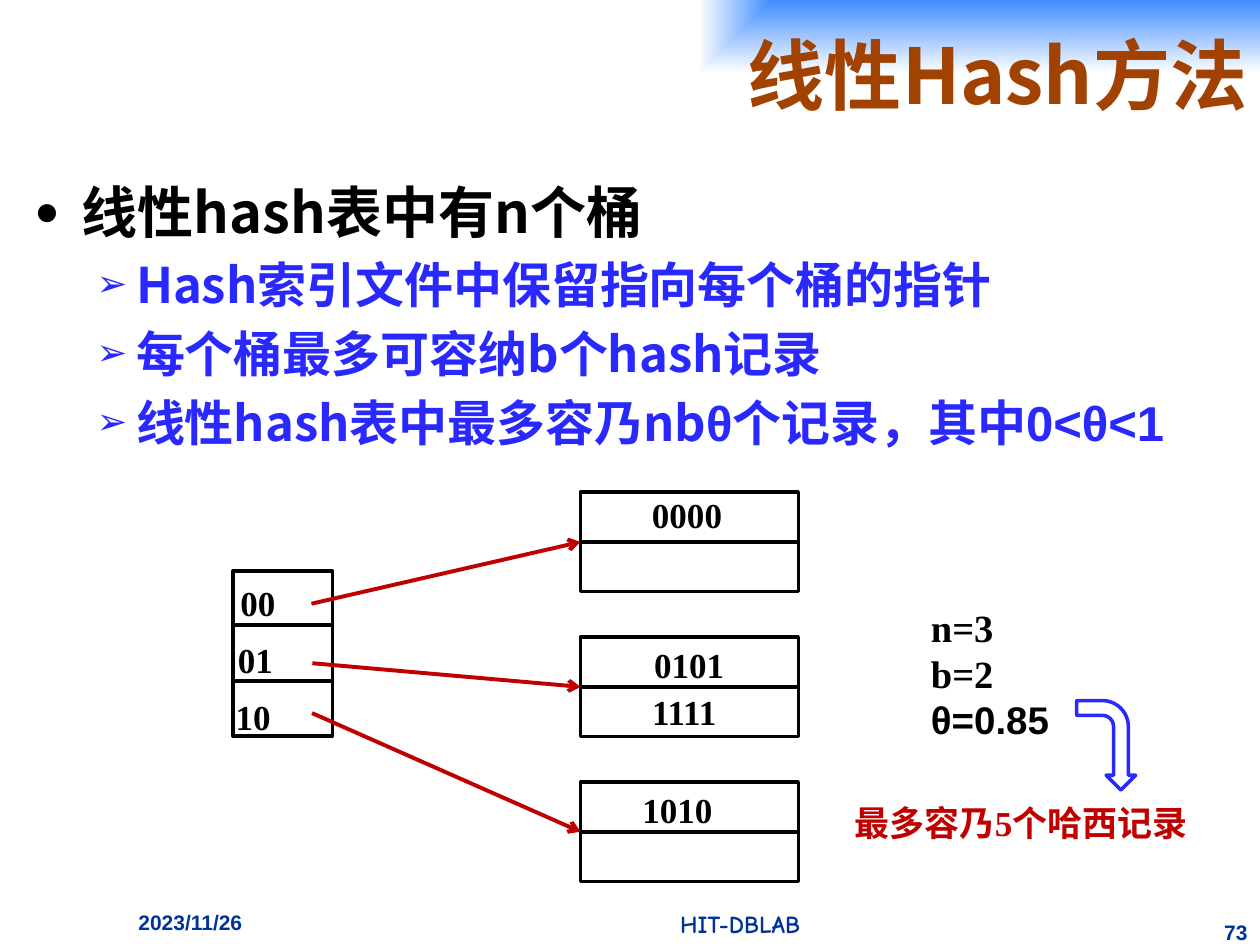
from dataclasses import dataclass

import pptx
import pptx.util
from lxml import etree
from pptx.dml.color import RGBColor
from pptx.enum.shapes import MSO_CONNECTOR, MSO_SHAPE
from pptx.enum.text import MSO_ANCHOR, PP_ALIGN
from pptx.oxml import parse_xml
from pptx.oxml.ns import nsdecls, qn

Pt = pptx.util.Pt

BLACK = RGBColor(0x00, 0x00, 0x00)
WHITE = RGBColor(0xFF, 0xFF, 0xFF)
SKY = RGBColor(0x3F, 0x8D, 0xFF)
BROWN = RGBColor(0xA2, 0x42, 0x00)
BLUE = RGBColor(0x29, 0x29, 0xFF)
NAVY = RGBColor(0x00, 0x33, 0x99)
RED = RGBColor(0xC0, 0x00, 0x00)

SC, JP = "Noto Sans CJK SC", "Noto Sans CJK JP"
TIMES, ARIAL, COMIC = "Times New Roman", "Arial", "Comic Neue"


@dataclass
class Label:
    text: str
    left: float
    top: float
    width: float
    height: float
    size: float = 20
    font: str = TIMES
    color: RGBColor = BLACK
    align: PP_ALIGN = PP_ALIGN.LEFT
    wrap: bool = False


@dataclass
class Bullet:
    runs: list[tuple[str, str]]
    size: float
    color: RGBColor
    level: int
    char: str
    margin: float
    hang: float
    before: float


@dataclass
class Bucket:
    index: Label
    records: list[Label]
    arrow_from: tuple[float, float]


def add_run(p, text: str, size: float, font: str, color: RGBColor) -> None:
    r = p.add_run()
    r.text = text
    r.font.size, r.font.bold, r.font.name = Pt(size), True, font
    r.font.color.rgb = color
    ea = etree.SubElement(r.font._element, qn("a:ea"))
    ea.set("typeface", font if font in (SC, JP) else SC)


def add_label(s, d: Label):
    sp = s.shapes.add_textbox(Pt(d.left), Pt(d.top), Pt(d.width), Pt(d.height))
    tf = sp.text_frame
    tf.word_wrap = d.wrap
    p = tf.paragraphs[0]
    p.alignment = d.align
    add_run(p, d.text, d.size, d.font, d.color)
    return tf


def add_bullet(p, b: Bullet) -> None:
    pPr = p._p.get_or_add_pPr()
    pPr.set("marL", str(Pt(b.margin)))
    pPr.set("indent", str(-Pt(b.hang)))
    for xml in (
        f'<a:buClr {nsdecls("a")}><a:srgbClr val="{b.color}"/></a:buClr>',
        f'<a:buSzPct {nsdecls("a")} val="75000"/>',
        f'<a:buFont {nsdecls("a")} typeface="{ARIAL}"/>',
        f'<a:buChar {nsdecls("a")} char="{b.char}"/>',
    ):
        pPr.append(parse_xml(xml))
    p.level = b.level
    if b.before:
        p.space_before = Pt(b.before)
    for text, font in b.runs:
        add_run(p, text, b.size, font, b.color)


def add_outline(s, kind: MSO_SHAPE, left: float, top: float, width: float,
                height: float, color: RGBColor = BLACK):
    sp = s.shapes.add_shape(kind, Pt(left), Pt(top), Pt(width), Pt(height))
    sp.shadow.inherit = False
    sp.fill.background()
    sp.line.color.rgb, sp.line.width = color, Pt(2)
    return sp


def add_line(s, x1: float, y1: float, x2: float, y2: float,
             color: RGBColor = BLACK, arrow: bool = False) -> None:
    c = s.shapes.add_connector(MSO_CONNECTOR.STRAIGHT, Pt(x1), Pt(y1), Pt(x2), Pt(y2))
    c.line.color.rgb, c.line.width = color, Pt(2.25)
    if arrow:
        etree.SubElement(c.line._get_or_add_ln(), qn("a:tailEnd")).set("type", "arrow")
    etree.SubElement(c._element.spPr, qn("a:effectLst"))


def add_title(s) -> None:
    sp = s.shapes.add_shape(MSO_SHAPE.RECTANGLE, Pt(77.8), 0, Pt(642.2), Pt(84.2))
    sp.shadow.inherit = False
    sp.line.fill.background()
    # Gradient spreading from the top right corner
    sp.fill.gradient()
    for stop, color, position in zip(sp.fill.gradient_stops, (SKY, WHITE), (0, 1)):
        stop.color.rgb, stop.position = color, position
    grad = sp._element.spPr.find(qn("a:gradFill"))
    grad.replace(grad.find(qn("a:lin")), parse_xml(
        f'<a:path {nsdecls("a")} path="rect"><a:fillToRect l="100000" b="100000"/></a:path>'))
    tf = sp.text_frame
    tf.word_wrap, tf.vertical_anchor = True, MSO_ANCHOR.MIDDLE
    p = tf.paragraphs[0]
    p.alignment = PP_ALIGN.RIGHT
    add_run(p, "线性Hash方法", 44, SC, BROWN)


def sub_bullet(*runs: tuple[str, str]) -> Bullet:
    return Bullet(list(runs), 28, BLUE, 1, "➢", 58.5, 22.5, 5.6)


BULLETS = [
    Bullet([("线性hash表中有n个桶", JP)], 32, BLACK, 0, "●", 27.4, 27, 0),
    sub_bullet(("Hash索引文件中保留指向每个桶的指针", JP)),
    sub_bullet(("每个桶最多可容纳b个hash记录", JP)),
    sub_bullet(("线性hash表中最多容乃nb", JP), ("θ个记录，其中0<θ<1", ARIAL)),
]

FOOTERS = [
    Label("2023/11/26", 72, 516, 126, 24, 12, ARIAL, NAVY, wrap=True),
    Label("HIT-DBLAB", 252, 516, 342, 24, 14, COMIC, NAVY, PP_ALIGN.CENTER, True),
    Label("73", 690, 522, 30, 18, 12, ARIAL, NAVY, PP_ALIGN.RIGHT, True),
]

BUCKETS = [
    Bucket(Label("00", 130.3, 328.6, 34.6, 31.5),
           [Label("0000", 365.5, 278.6, 54.7, 31.5)], (178, 345)),
    Bucket(Label("01", 128.9, 361.4, 34.6, 31.5),
           [Label("0101", 366.7, 364.3, 54.7, 31.5),
            Label("1111", 365.5, 391, 51.8, 31.5)], (178.5, 379)),
    Bucket(Label("10", 127.6, 393.8, 34.6, 31.5),
           [Label("1010", 360, 447.1, 54.7, 31.5)], (178.3, 407.5)),
]

INDEX_LEFT, INDEX_TOP, INDEX_W, INDEX_H = 133.2, 326.2, 56.8, 94.4
BUCKET_LEFT, BUCKET_TOP, BUCKET_W, BUCKET_H, BUCKET_STEP = 331.7, 281.3, 124.5, 56.8, 82.8


def main() -> None:
    prs = pptx.Presentation()
    prs.slide_width, prs.slide_height = Pt(720), Pt(540)
    s = prs.slides.add_slide(prs.slide_layouts[6])

    add_title(s)

    # Body bullets
    tf = s.shapes.add_textbox(Pt(12.2), Pt(98), Pt(700.6), Pt(356.4)).text_frame
    tf.word_wrap = True
    for i, bullet in enumerate(BULLETS):
        add_bullet(tf.add_paragraph() if i else tf.paragraphs[0], bullet)

    for footer in FOOTERS:
        add_label(s, footer)

    # Index table
    add_outline(s, MSO_SHAPE.RECTANGLE, INDEX_LEFT, INDEX_TOP, INDEX_W, INDEX_H)
    for y in (357.1, 389):
        add_line(s, INDEX_LEFT, y, INDEX_LEFT + INDEX_W, y)

    # Buckets with their index entries and pointers
    for i, bucket in enumerate(BUCKETS):
        top = BUCKET_TOP + i * BUCKET_STEP
        middle = top + BUCKET_H / 2
        add_outline(s, MSO_SHAPE.RECTANGLE, BUCKET_LEFT, top, BUCKET_W, BUCKET_H)
        add_line(s, BUCKET_LEFT, middle, BUCKET_LEFT + BUCKET_W, middle)
        for label in (bucket.index, *bucket.records):
            add_label(s, label)
        add_line(s, *bucket.arrow_from, BUCKET_LEFT, middle, RED, arrow=True)

    # Parameters and the resulting capacity
    tf = add_label(s, Label("n=3", 524.9, 341.6, 82, 87, 22))
    for text, font in (("b=2", TIMES), ("θ=0.85", ARIAL)):
        add_run(tf.add_paragraph(), text, 22, font, BLACK)
    add_label(s, Label("最多容乃5个哈西记录", 481.3, 454.3, 205.2, 31.5, color=RED, wrap=True))
    add_outline(s, MSO_SHAPE.BENT_ARROW, 606.5, 409, 51.1, 33.8, BLUE).rotation = 90

    prs.save("out.pptx")


if __name__ == "__main__":
    main()
